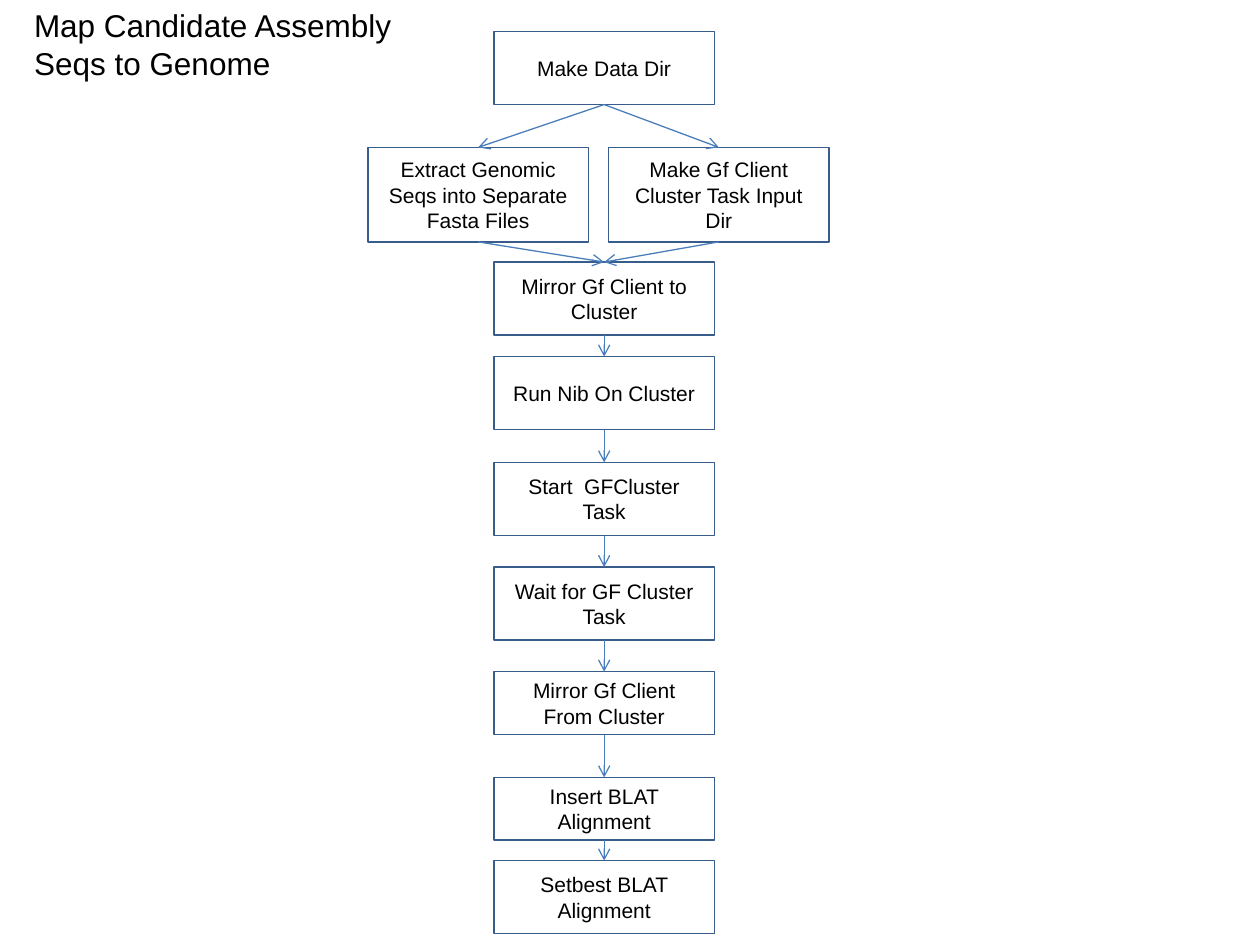
from lxml import etree
from pptx import Presentation
from pptx.dml.color import RGBColor
from pptx.enum.shapes import MSO_CONNECTOR, MSO_SHAPE
from pptx.enum.text import MSO_ANCHOR, MSO_AUTO_SIZE, PP_ALIGN
from pptx.oxml.ns import qn
from pptx.util import Inches, Pt

RECTANGLE = MSO_SHAPE.RECTANGLE
STRAIGHT = MSO_CONNECTOR.STRAIGHT
TOP, MIDDLE = MSO_ANCHOR.TOP, MSO_ANCHOR.MIDDLE
LEFT, CENTER = PP_ALIGN.LEFT, PP_ALIGN.CENTER
NO_AUTOFIT = MSO_AUTO_SIZE.NONE
TOP_SIDE, BOTTOM_SIDE = 0, 2

BLACK = RGBColor(0x00, 0x00, 0x00)
BORDER = RGBColor(0x38, 0x5D, 0x8A)
ARROW = RGBColor(0x4A, 0x7E, 0xBB)

STEP_WIDTH = 1.75
CENTER_LEFT = 3.92
BRANCH_TOP, BRANCH_HEIGHT = 1.17, 0.75
TALL, SHORT = 0.58, 0.5

BRANCHES = [
    ("Extract Genomic Seqs into Separate Fasta Files", 2.92),
    ("Make Gf Client Cluster Task Input Dir", 4.83),
]
SEQUENCE = [
    ("Mirror Gf Client to Cluster", 2.08, TALL),
    ("Run Nib On Cluster", 2.83, TALL),
    ("Start  GFCluster Task", 3.67, TALL),
    ("Wait for GF Cluster Task", 4.5, TALL),
    ("Mirror Gf Client From Cluster", 5.33, SHORT),
    ("Insert BLAT Alignment", 6.17, SHORT),
    ("Setbest BLAT Alignment", 6.83, TALL),
]


class Flowchart:
    font_name = "Arial"

    def __init__(self, slide):
        self.slide = slide

    def set_text(self, frame, lines, size, align, anchor):
        frame_format = {
            "word_wrap": True,
            "auto_size": NO_AUTOFIT,
            "vertical_anchor": anchor,
            "margin_left": Inches(0.1),
            "margin_right": Inches(0.1),
            "margin_top": Inches(0.05),
            "margin_bottom": Inches(0.05),
        }
        for name, value in frame_format.items():
            setattr(frame, name, value)
        frame.text = "\n".join(lines)
        font_format = {"name": self.font_name, "size": Pt(size)}
        for paragraph in frame.paragraphs:
            paragraph.alignment = align
            for name, value in font_format.items():
                setattr(paragraph.font, name, value)
            paragraph.font.color.rgb = BLACK

    def title(self, lines, left, top, width, height):
        heading = self.slide.shapes.title
        position = {"left": left, "top": top, "width": width, "height": height}
        for name, value in position.items():
            setattr(heading, name, Inches(value))
        self.set_text(heading.text_frame, lines, 18, LEFT, TOP)

    def step(self, label, left, top, height):
        box = self.slide.shapes.add_shape(
            RECTANGLE, Inches(left), Inches(top), Inches(STEP_WIDTH), Inches(height)
        )
        box.shadow.inherit = False
        box.fill.background()
        box.line.color.rgb = BORDER
        box.line.width = Pt(1)
        self.set_text(box.text_frame, [label], 12, CENTER, MIDDLE)
        return box

    def arrow(self, source, target):
        link = self.slide.shapes.add_connector(STRAIGHT, 0, 0, 0, 0)
        link.begin_connect(source, BOTTOM_SIDE)
        link.end_connect(target, TOP_SIDE)
        link.line.color.rgb = ARROW
        link.line.width = Pt(0.75)
        properties = link._element.spPr
        etree.SubElement(properties.find(qn("a:ln")), qn("a:tailEnd"), type="arrow")
        etree.SubElement(properties, qn("a:effectLst"))


def main():
    presentation = Presentation()
    presentation.slide_width = Inches(10)
    presentation.slide_height = Inches(7.5)
    title_only = presentation.slide_layouts[5]
    chart = Flowchart(presentation.slides.add_slide(title_only))

    chart.title(["Map Candidate Assembly", "Seqs to Genome"], 0.17, 0, 3.42, 0.7)
    data_dir = chart.step("Make Data Dir", CENTER_LEFT, 0.25, TALL)
    branches = [
        chart.step(label, left, BRANCH_TOP, BRANCH_HEIGHT) for label, left in BRANCHES
    ]
    sequence = [
        chart.step(label, CENTER_LEFT, top, height) for label, top, height in SEQUENCE
    ]

    for branch in branches:
        chart.arrow(data_dir, branch)
        chart.arrow(branch, sequence[0])
    for source, target in zip(sequence, sequence[1:]):
        chart.arrow(source, target)

    presentation.save("out.pptx")


if __name__ == "__main__":
    main()
